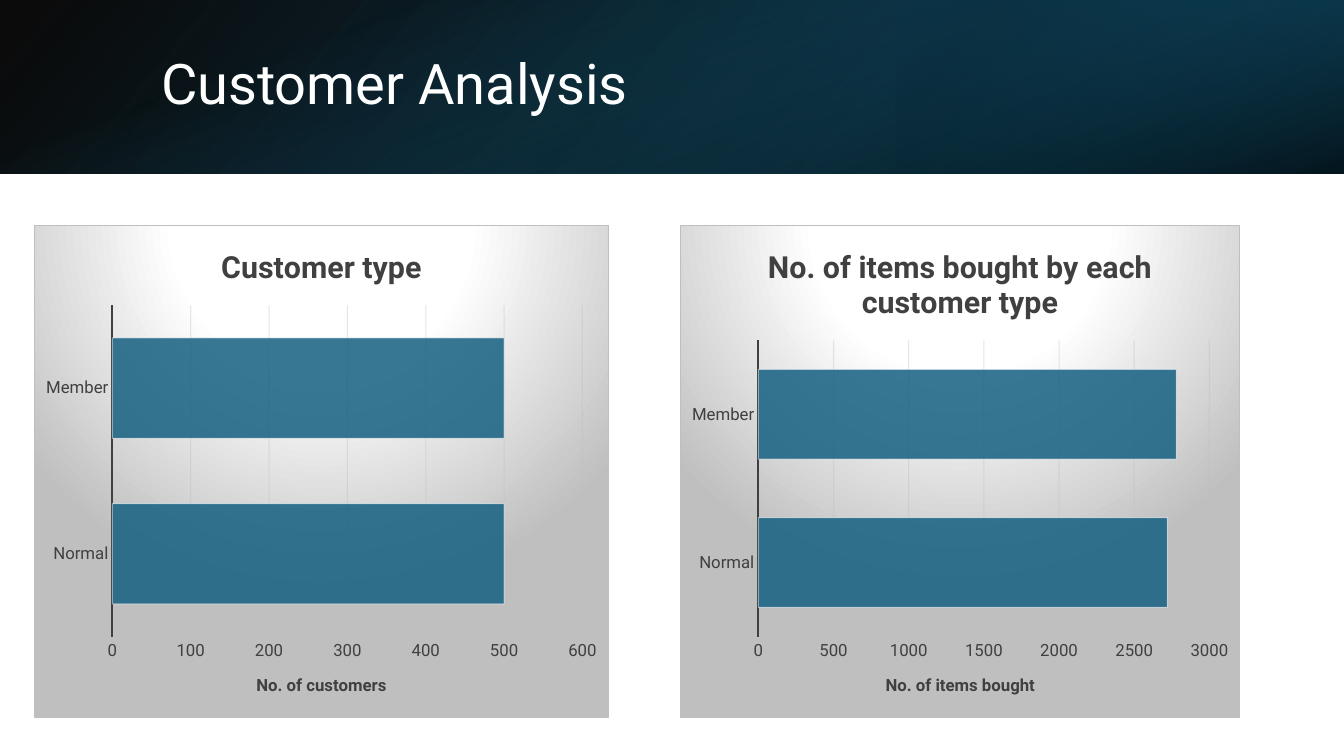
from lxml.etree import SubElement
from pptx import Presentation
from pptx.chart.data import CategoryChartData
from pptx.dml.color import RGBColor
from pptx.enum.chart import XL_CHART_TYPE, XL_TICK_MARK
from pptx.enum.shapes import MSO_SHAPE
from pptx.enum.text import MSO_ANCHOR, PP_ALIGN
from pptx.oxml import parse_xml
from pptx.oxml.ns import nsdecls, qn
from pptx.util import Pt

EMU_PER_PX = 914400 / 100.8
FONT = "Roboto"
TEAL = "156082"
INK = "404040"
SILVER = "BFBFBF"
CARD_TOP, CARD_HEIGHT = 225, 493
PLOT_BOTTOM = 637


def px(*lengths):
    return [round(length * EMU_PER_PX) for length in lengths]


def color(hex_code):
    return RGBColor.from_string(hex_code)


def style_font(font, size, hex_code, bold=False):
    font.name = FONT
    font.size = Pt(size)
    font.bold = bold
    font.color.rgb = color(hex_code)


def style_line(line, hex_code, width):
    line.color.rgb = color(hex_code)
    line.width = Pt(width)


def gradient(stops, direction):
    stop_xml = "".join(
        f'<a:gs pos="{position * 1000}"><a:srgbClr val="{hex_code}">'
        f'<a:alpha val="{alpha * 1000}"/></a:srgbClr></a:gs>'
        for position, hex_code, alpha in stops)
    return (f'<a:gradFill {nsdecls("a")} rotWithShape="1"><a:gsLst>{stop_xml}</a:gsLst>'
            f'{direction}</a:gradFill>')


def add_band(slide, box, stops, angle, rotation=0, flipped=False):
    band = slide.shapes.add_shape(MSO_SHAPE.RECTANGLE, *px(*box))
    band.shadow.inherit = False
    band.line.fill.background()
    band.rotation = rotation
    properties = band.element.spPr
    if flipped:
        properties.find(qn("a:xfrm")).set("flipH", "1")
    direction = f'<a:lin ang="{angle * 60000}" scaled="0"/>'
    properties.find(qn("a:prstGeom")).addnext(parse_xml(gradient(stops, direction)))


def add_title(slide, text):
    title = slide.shapes.title
    slide.shapes.element.append(title.element)
    title.left, title.top, title.width, title.height = px(151, 38, 1107, 97)
    frame = title.text_frame
    frame.text = text
    frame.vertical_anchor = MSO_ANCHOR.MIDDLE
    paragraph = frame.paragraphs[0]
    paragraph.alignment = PP_ALIGN.LEFT
    paragraph.line_spacing = 0.9
    style_font(paragraph.runs[0].font, 40, "FFFFFF")


def set_heading(heading, text, size):
    heading.text_frame.text = text
    style_font(heading.text_frame.paragraphs[0].runs[0].font, size, INK, True)


def style_axes(chart, caption, maximum, step):
    categories, amounts = chart.category_axis, chart.value_axis
    for axis in (categories, amounts):
        axis.major_tick_mark = XL_TICK_MARK.NONE
        axis.minor_tick_mark = XL_TICK_MARK.NONE
        style_font(axis.tick_labels.font, 12, INK)
    categories.has_major_gridlines = False
    style_line(categories.format.line, INK, 1.5)
    amounts.minimum_scale = 0
    amounts.maximum_scale = maximum
    amounts.major_unit = step
    amounts.format.line.fill.background()
    amounts.has_major_gridlines = True
    style_line(amounts.major_gridlines.format.line, SILVER, 0.75)
    set_heading(amounts.axis_title, caption, 12)


def style_bars(chart):
    plot = chart.plots[0]
    plot.gap_width = 65
    plot.vary_by_categories = False
    bars = plot.series[0]
    bars.invert_if_negative = False
    bars.format.fill.solid()
    bars.format.fill.fore_color.rgb = color(TEAL)
    style_line(bars.format.line, "FFFFFF", 0.75)


def apply_transparency(chart):
    for target, alpha in ((".//c:ser/c:spPr/a:solidFill/a:srgbClr", 85),
                          (".//c:ser/c:spPr/a:ln//a:srgbClr", 50),
                          (".//c:majorGridlines//a:srgbClr", 40)):
        for shade in chart.element.xpath(target):
            SubElement(shade, qn("a:alpha")).set("val", str(alpha * 1000))


def fill_card(chart):
    stops = [(0, "FFFFFF", 100), (39, "FFFFFF", 100), (100, SILVER, 100)]
    direction = ('<a:path path="circle"><a:fillToRect l="50000" t="-80000" '
                 'r="50000" b="180000"/></a:path>')
    chart.element.find(qn("c:chart")).addnext(parse_xml(
        f'<c:spPr {nsdecls("c", "a")}>{gradient(stops, direction)}'
        f'<a:ln w="{Pt(0.75)}"><a:solidFill><a:srgbClr val="{SILVER}"/></a:solidFill></a:ln>'
        '</c:spPr>'))


def place_plot(chart, card_left, card_width, plot_left, plot_top, plot_right):
    area = chart.element.find(".//" + qn("c:plotArea"))
    for layout in area.findall(qn("c:layout")):
        area.remove(layout)
    fractions = {
        "x": (plot_left - card_left) / card_width,
        "y": (plot_top - CARD_TOP) / CARD_HEIGHT,
        "w": (plot_right - plot_left) / card_width,
        "h": (PLOT_BOTTOM - plot_top) / CARD_HEIGHT,
    }
    sizes = "".join(f'<c:{key} val="{value:.4f}"/>' for key, value in fractions.items())
    area.insert(0, parse_xml(
        f'<c:layout {nsdecls("c")}><c:manualLayout><c:layoutTarget val="inner"/>'
        f'<c:xMode val="edge"/><c:yMode val="edge"/>{sizes}</c:manualLayout></c:layout>'))


def add_bar_card(slide, left, width, plot_box, heading, caption, values, maximum, step):
    data = CategoryChartData()
    data.categories = ["Normal", "Member"]
    data.add_series("Series 1", values)
    chart = slide.shapes.add_chart(
        XL_CHART_TYPE.BAR_CLUSTERED, *px(left, CARD_TOP, width, CARD_HEIGHT), data).chart
    style_font(chart.font, 10, "000000")
    chart.has_legend = False
    chart.has_title = True
    set_heading(chart.chart_title, heading, 21.7)
    style_axes(chart, caption, maximum, step)
    style_bars(chart)
    apply_transparency(chart)
    fill_card(chart)
    place_plot(chart, left, width, *plot_box)


def main():
    deck = Presentation()
    deck.slide_width, deck.slide_height = px(1344, 756)
    slide = deck.slides.add_slide(deck.slide_layouts[5])
    add_band(slide, (0, 0, 1344, 174), [(0, "000000", 96), (100, "104862", 100)],
             140, flipped=True)
    add_band(slide, (896, 0, 448, 174), [(19, "0B3041", 68), (100, TEAL, 79)],
             320, rotation=180, flipped=True)
    add_band(slide, (585, -585, 174, 1344), [(23, TEAL, 0), (99, "000000", 74)],
             340, rotation=90)
    add_title(slide, "Customer Analysis")
    add_bar_card(slide, 34, 575, (112, 305, 583), "Customer type",
                 "No. of customers", (500, 500), 600, 100)
    add_bar_card(slide, 680, 560, (758, 340, 1210),
                 "No. of items bought by each customer type",
                 "No. of items bought", (2720, 2780), 3000, 500)
    deck.save("out.pptx")


if __name__ == "__main__":
    main()
